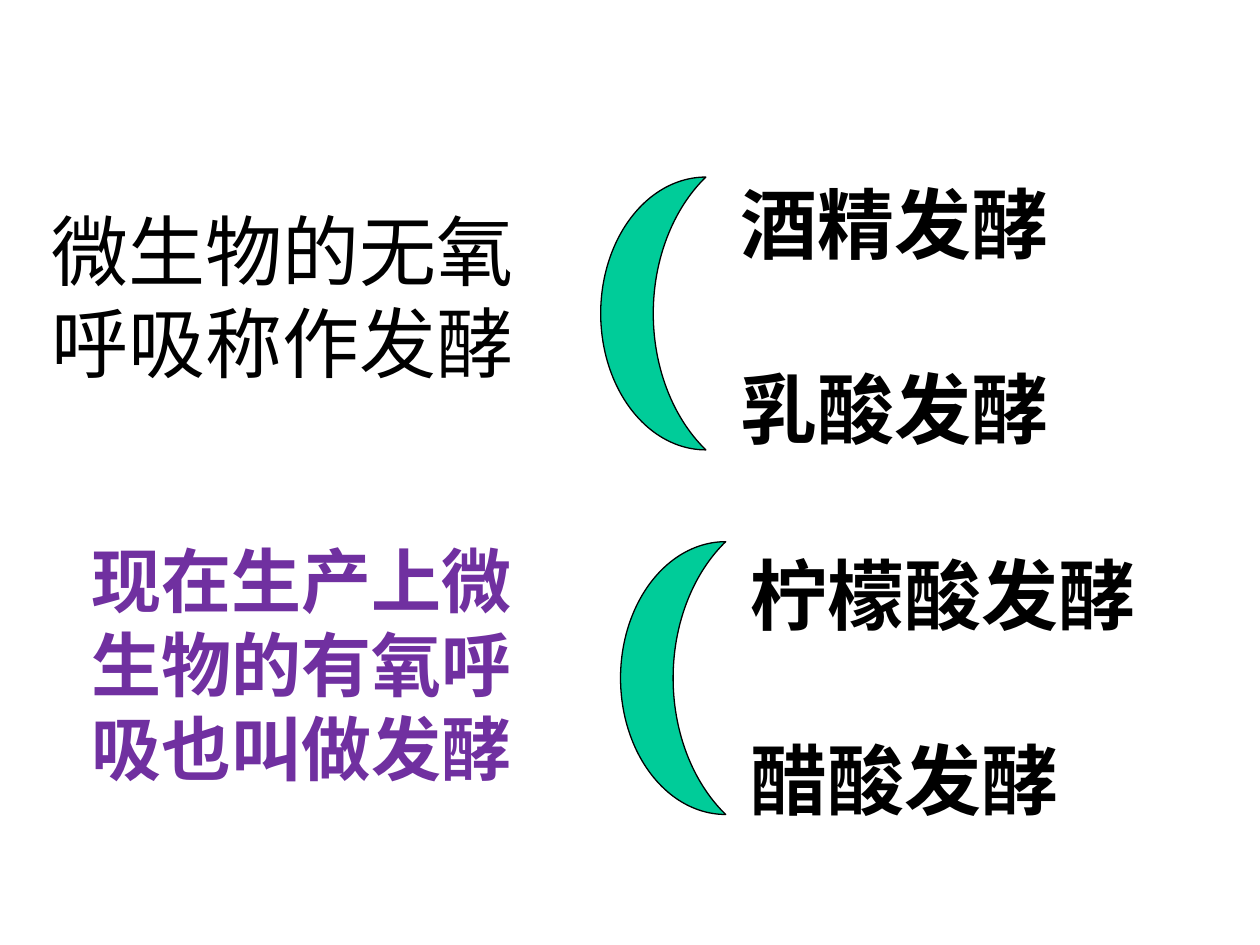
from pptx import Presentation
from pptx.dml.color import RGBColor
from pptx.enum.shapes import MSO_SHAPE
from pptx.enum.text import MSO_AUTO_SIZE
from pptx.util import Cm, Pt


def color(fill, code):
    fill.solid()
    fill.fore_color.rgb = RGBColor.from_string(code)


def add_text(slide, box, lines, size=44, code="000000", bold=True):
    frame = slide.shapes.add_textbox(*map(Cm, box)).text_frame
    frame.word_wrap = True
    frame.auto_size = MSO_AUTO_SIZE.SHAPE_TO_FIT_TEXT
    for i, line in enumerate(lines):
        para = frame.add_paragraph() if i else frame.paragraphs[0]
        para.text = line
        if i:
            para.space_before = Pt(53)
        font = para.font
        font.name = "Times New Roman"
        font.size = Pt(size)
        font.bold = bold
        color(font.fill, code)


def add_moon(slide, left, top):
    moon = slide.shapes.add_shape(
        MSO_SHAPE.MOON, Cm(left), Cm(top), Cm(2.12), Cm(5.5))
    moon.shadow.inherit = False
    color(moon.fill, "00CC99")
    color(moon.line.fill, "000000")
    moon.line.width = Pt(0.75)


def main():
    deck = Presentation()
    deck.slide_width, deck.slide_height = Cm(25.4), Cm(19.05)
    slide = deck.slides.add_slide(deck.slide_layouts[6])

    add_text(slide, (0.79, 3.97, 10.72, 3.99),
             ["微生物的无氧呼吸称作发酵"], bold=False)
    add_moon(slide, 12.11, 3.57)
    add_text(slide, (14.68, 3.43, 7.95, 5.84), ["酒精发酵", "乳酸发酵"])

    add_text(slide, (1.6, 10.72, 9.93, 5.33),
             ["现在生产上微生物的有氧呼吸也叫做发酵"], 40, "7030A0")
    add_moon(slide, 12.51, 10.92)
    add_text(slide, (14.88, 10.92, 8.94, 5.84), ["柠檬酸发酵", "醋酸发酵"])

    deck.save("out.pptx")


if __name__ == "__main__":
    main()
